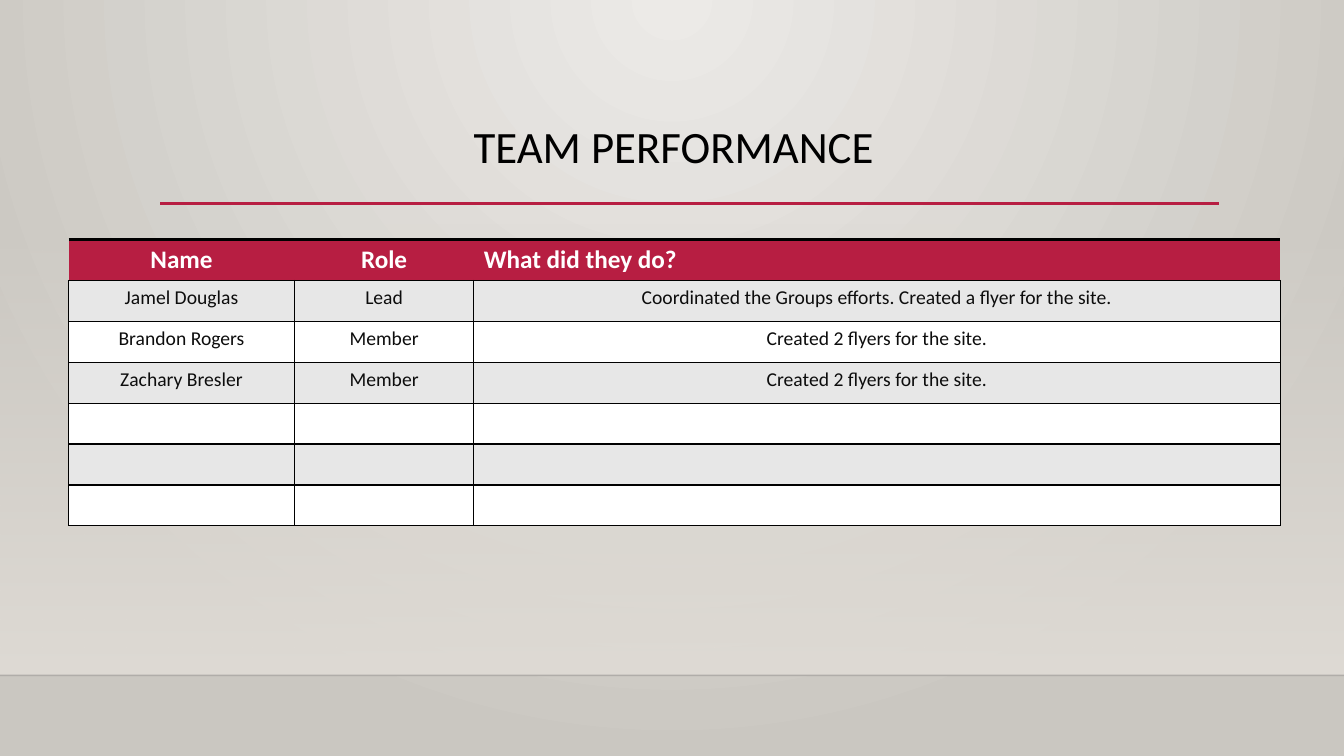
"""Build the team performance slide with its heading, rules and table."""
from lxml import etree
from pptx import Presentation
from pptx.dml.color import RGBColor
from pptx.enum.shapes import MSO_CONNECTOR, MSO_SHAPE
from pptx.enum.text import MSO_ANCHOR, PP_ALIGN
from pptx.oxml.ns import qn
from pptx.util import Pt

STRAIGHT = MSO_CONNECTOR.STRAIGHT
RECTANGLE = MSO_SHAPE.RECTANGLE
TOP = MSO_ANCHOR.TOP
LEFT, CENTER, RIGHT = PP_ALIGN.LEFT, PP_ALIGN.CENTER, PP_ALIGN.RIGHT

PAGE_WIDTH, PAGE_HEIGHT = 960, 540
FLOOR_TOP = 482.4
COLUMN_WIDTHS = [161.4, 128, 576]
ROW_HEIGHT = 29.2
ROWS = [
    ["Name", "Role", "What did they do?"],
    ["Jamel Douglas", "Lead", "Coordinated the Groups efforts. Created a flyer for the site."],
    ["Brandon Rogers", "Member", "Created 2 flyers for the site."],
    ["Zachary Bresler", "Member", "Created 2 flyers for the site."],
] + [["", "", ""]] * 3


def color(code):
    return RGBColor.from_string(code)


def add_element(parent, tag, **attributes):
    return etree.SubElement(parent, qn(tag), attributes)


def set_alpha(color_element, percent):
    add_element(color_element, "a:alpha", val=str(percent * 1000))


class SlideBuilder:
    """Hold the slide style and draw elements on the current page."""

    font_name = "Calibri"
    accent = "B71E42"
    ink = "000000"
    bands = ["FFFFFF", "E7E7E7"]

    def __init__(self, page):
        self.page = page

    def gradient(self, fill, start, end):
        fill.gradient()
        for stop, position, code in zip(fill.gradient_stops, (0, 1), (start, end)):
            stop.position = position
            stop.color.rgb = color(code)

    def background(self, center, edge):
        self.gradient(self.page.background.fill, center, edge)
        gradient = next(self.page.background._cSld.iter(qn("a:gradFill")))
        gradient.remove(gradient.find(qn("a:lin")))
        circle = add_element(gradient, "a:path", path="circle")
        add_element(circle, "a:fillToRect", l="43000", t="0", r="43000", b="100000")

    def fading_panel(self, left, top, width, height, code):
        panel = self.page.shapes.add_shape(RECTANGLE, Pt(left), Pt(top), Pt(width), Pt(height))
        panel.shadow.inherit = False
        panel.line.fill.background()
        self.gradient(panel.fill, code, code)
        panel.fill.gradient_angle = 270
        set_alpha(next(panel._element.iter(qn("a:srgbClr"))), 0)

    def rule(self, left, right, y, code, weight, opacity=100):
        line = self.page.shapes.add_connector(STRAIGHT, Pt(left), Pt(y), Pt(right), Pt(y))
        line.line.color.rgb = color(code)
        line.line.width = Pt(weight)
        if opacity < 100:
            set_alpha(next(line._element.iter(qn("a:srgbClr"))), opacity)
        add_element(line._element.spPr, "a:effectLst")

    def set_text(self, para, text, size, code, align, bold=False):
        para.text = text
        para.alignment = align
        para.font.name = self.font_name
        para.font.size = Pt(size)
        para.font.bold = bold
        para.font.color.rgb = color(code)

    def title(self, left, top, width, height, text):
        box = self.page.shapes.add_textbox(Pt(left), Pt(top), Pt(width), Pt(height))
        box.text_frame.word_wrap = True
        box.text_frame.vertical_anchor = TOP
        para = box.text_frame.paragraphs[0]
        self.set_text(para, text, 32, self.ink, RIGHT)
        para.line_spacing = 0.9

    def borders(self, cell, weights):
        properties = cell._tc.get_or_add_tcPr()
        for side, weight in zip("LRTB", weights):
            line = add_element(properties, f"a:ln{side}", w=str(Pt(weight)))
            if weight:
                fill = add_element(line, "a:solidFill")
                add_element(fill, "a:srgbClr", val=self.ink)
            else:
                add_element(line, "a:noFill")

    def table(self, left, top, widths, row_height, rows):
        frame = self.page.shapes.add_table(
            len(rows), len(widths), Pt(left), Pt(top), Pt(sum(widths)), Pt(row_height * len(rows)))
        table = frame.table
        table.horz_banding = False
        for column, width in zip(table.columns, widths):
            column.width = Pt(width)
        for row_index, texts in enumerate(rows):
            header = row_index == 0
            table.rows[row_index].height = Pt(row_height)
            for column_index, text in enumerate(texts):
                cell = table.cell(row_index, column_index)
                self.borders(cell, (0, 0, 2, 1) if header else (1, 1, 1, 1))
                cell.fill.solid()
                cell.fill.fore_color.rgb = color(self.accent if header else self.bands[row_index % 2])
                para = cell.text_frame.paragraphs[0]
                if header:
                    align = LEFT if column_index == 2 else CENTER
                    self.set_text(para, text, 18, "FFFFFF", align, True)
                else:
                    self.set_text(para, text, 14, "0D0D0D", CENTER)


def main():
    deck = Presentation()
    deck.slide_width, deck.slide_height = Pt(PAGE_WIDTH), Pt(PAGE_HEIGHT)
    builder = SlideBuilder(deck.slides.add_slide(deck.slide_layouts[6]))
    builder.background("ECEAE7", "CAC7C1")
    builder.fading_panel(0, 159, PAGE_WIDTH, FLOOR_TOP - 159, "DFDBD5")
    builder.rule(0, PAGE_WIDTH, FLOOR_TOP, "000001", 1, 20)
    builder.rule(114.5, 871, 145.4, builder.accent, 2.5)
    builder.title(0, 85.7, 631.4, 114.5, "TEAM PERFORMANCE")
    builder.table(49, 171.2, COLUMN_WIDTHS, ROW_HEIGHT, ROWS)
    deck.save("out.pptx")


if __name__ == "__main__":
    main()
